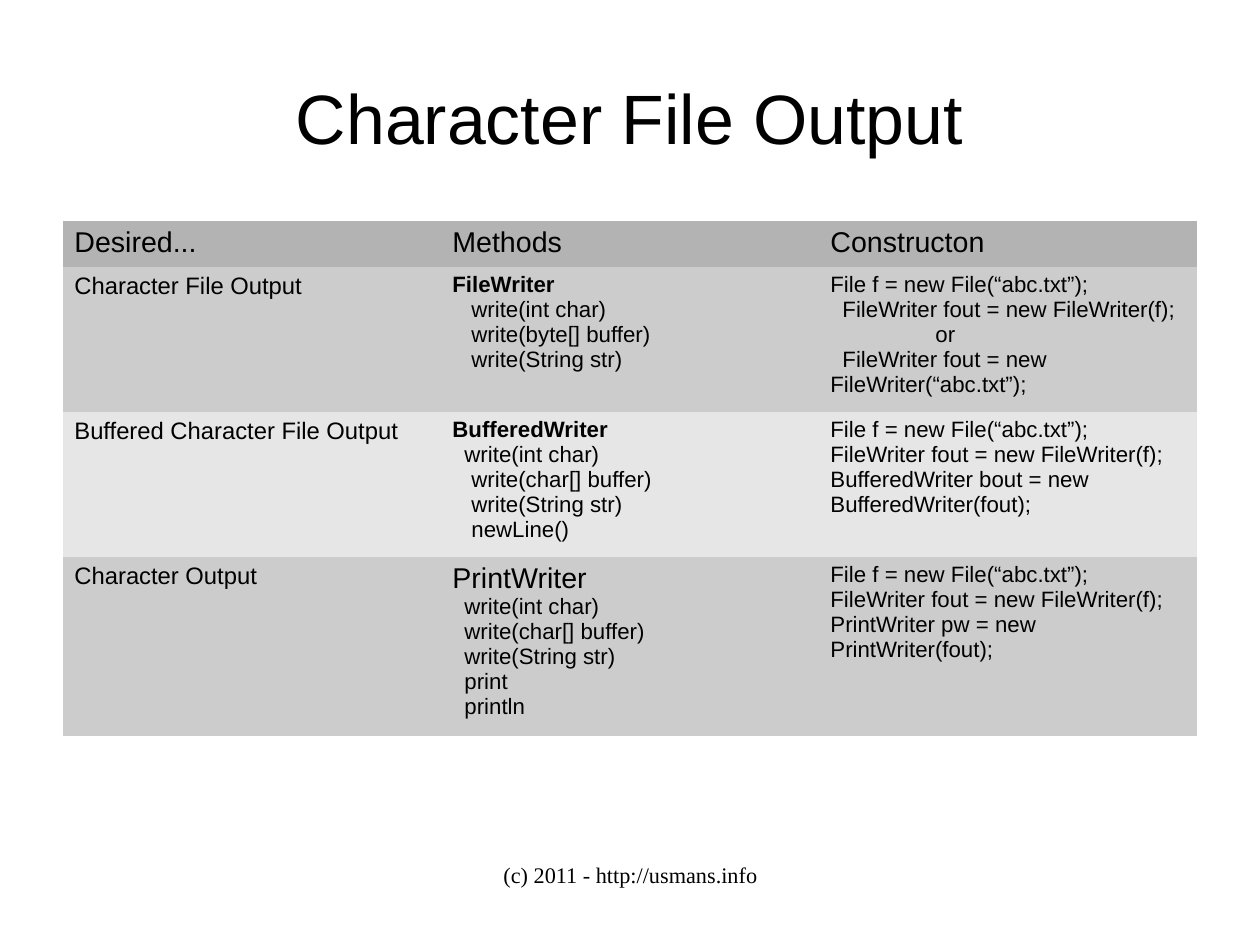
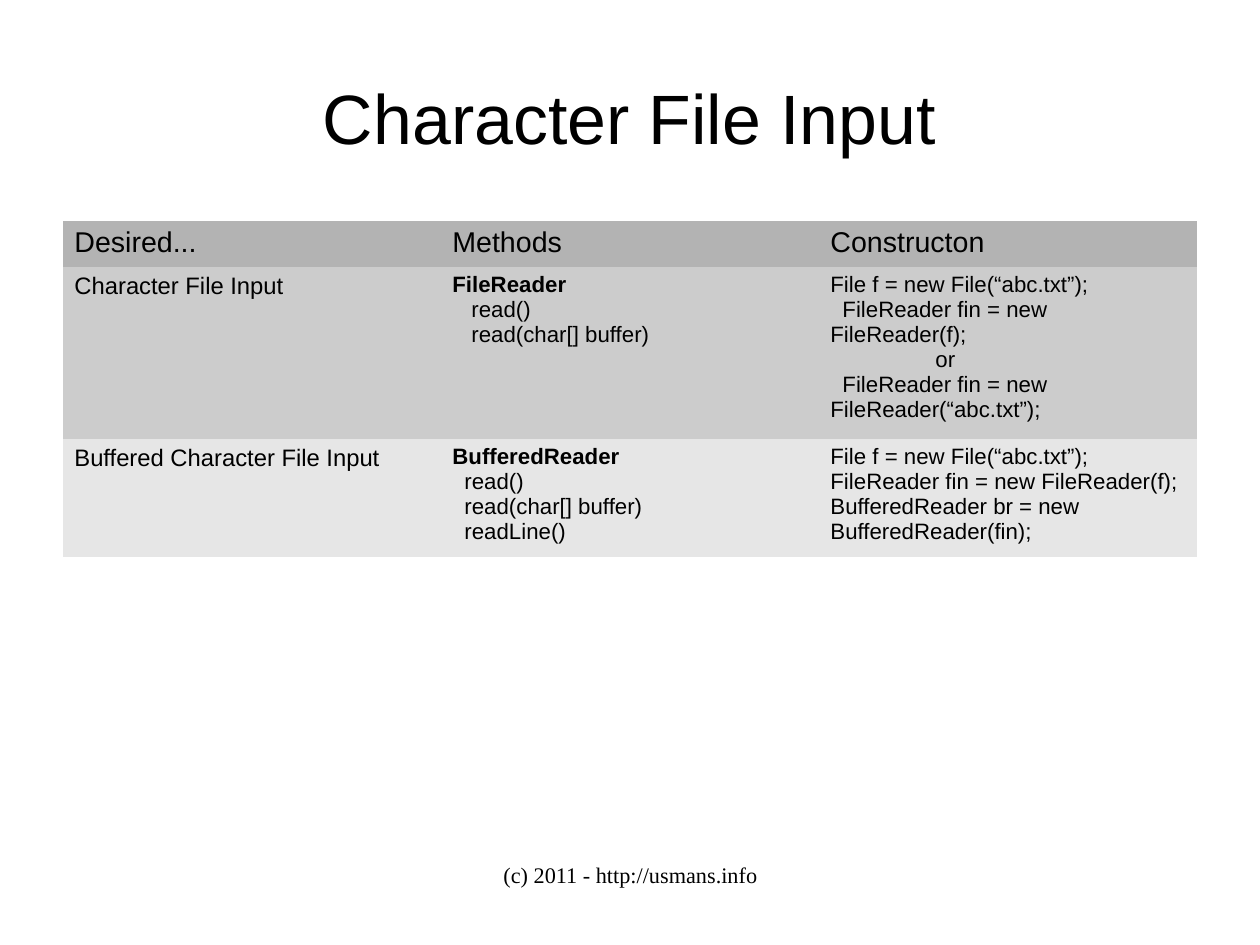
"""Build two slides with tables of the Java classes for character file output and input."""
from pptx import Presentation
from pptx.dml.color import RGBColor
from pptx.enum.text import MSO_ANCHOR, PP_ALIGN
from pptx.oxml.ns import qn
from pptx.util import Pt

PX = 8000
BLACK = "000000"
HEADER_FILL = "B3B3B3"
ROW_FILLS = ["CCCCCC", "E6E6E6"]
NO_STYLE = "{2D5ABB26-0587-4C30-8999-92F81FD0307C}"
HEADINGS = ["Desired...", "Methods", "Constructon"]
TABLE_LEFT, TABLE_TOP, COLUMN_WIDTH, HEADER_HEIGHT = 63, 221, 378, 46
STEP, DEEP, CENTRE = 12, 19, 105

FORMATS = {
    "title": {"name": "Arial", "size": Pt(44), "bold": False},
    "heading": {"name": "Arial", "size": Pt(18), "bold": False},
    "topic": {"name": "Arial", "size": Pt(15), "bold": False},
    "class": {"name": "Arial", "size": Pt(14), "bold": True},
    "code": {"name": "Arial", "size": Pt(14), "bold": False},
    "footer": {"name": "Times New Roman", "size": Pt(14), "bold": False},
}

FRAMES = {
    "title": (63, 38, 1134, 158, MSO_ANCHOR.MIDDLE),
    "footer": (431, 861, 399, 65, MSO_ANCHOR.TOP),
}
FOOTER = "(c) 2011 - http://usmans.info"

SLIDES = [
    ("Character File Output", [
        (145, "Character File Output",
         [("FileWriter", "class", 0),
          ("write(int char)", "code", DEEP),
          ("write(byte[] buffer)", "code", DEEP),
          ("write(String str)", "code", DEEP)],
         [("File f = new File(“abc.txt”);", "code", 0),
          ("FileWriter fout = new FileWriter(f);", "code", STEP),
          ("or", "code", CENTRE),
          ("FileWriter fout = new FileWriter(“abc.txt”);", "code", STEP)]),
        (145, "Buffered Character File Output",
         [("BufferedWriter", "class", 0),
          ("write(int char)", "code", STEP),
          ("write(char[] buffer)", "code", DEEP),
          ("write(String str)", "code", DEEP),
          ("newLine()", "code", DEEP)],
         [("File f = new File(“abc.txt”);", "code", 0),
          ("FileWriter fout = new FileWriter(f);", "code", 0),
          ("BufferedWriter bout = new BufferedWriter(fout);", "code", 0)]),
        (179, "Character Output",
         [("PrintWriter", "heading", 0),
          ("write(int char)", "code", STEP),
          ("write(char[] buffer)", "code", STEP),
          ("write(String str)", "code", STEP),
          ("print", "code", STEP),
          ("println", "code", STEP)],
         [("File f = new File(“abc.txt”);", "code", 0),
          ("FileWriter fout = new FileWriter(f);", "code", 0),
          ("PrintWriter pw = new PrintWriter(fout);", "code", 0)]),
    ]),
    ("Character File Input", [
        (172, "Character File Input",
         [("FileReader", "class", 0),
          ("read()", "code", DEEP),
          ("read(char[] buffer)", "code", DEEP)],
         [("File f = new File(“abc.txt”);", "code", 0),
          ("FileReader fin = new FileReader(f);", "code", STEP),
          ("or", "code", CENTRE),
          ("FileReader fin = new FileReader(“abc.txt”);", "code", STEP)]),
        (118, "Buffered Character File Input",
         [("BufferedReader", "class", 0),
          ("read()", "code", STEP),
          ("read(char[] buffer)", "code", STEP),
          ("readLine()", "code", STEP)],
         [("File f = new File(“abc.txt”);", "code", 0),
          ("FileReader fin = new FileReader(f);", "code", 0),
          ("BufferedReader br = new BufferedReader(fin);", "code", 0)]),
    ]),
]


def color(value):
    return RGBColor.from_string(value)


def write_lines(text_frame, lines, alignment=PP_ALIGN.LEFT):
    for index, (text, style, indent) in enumerate(lines):
        paragraph = text_frame.add_paragraph() if index else text_frame.paragraphs[0]
        paragraph.alignment = alignment
        if indent:
            properties = paragraph._p.get_or_add_pPr()
            properties.set("marL", "0")
            properties.set("indent", str(indent * PX))
        run = paragraph.add_run()
        run.text = text
        run.font.color.rgb = color(BLACK)
        for name, value in FORMATS[style].items():
            setattr(run.font, name, value)


presentation = Presentation()
presentation.slide_width = 1260 * PX
presentation.slide_height = 945 * PX

for title, topics in SLIDES:
    slide = presentation.slides.add_slide(presentation.slide_layouts[6])

    for style, text in [("title", title), ("footer", FOOTER)]:
        *box, anchor = FRAMES[style]
        text_frame = slide.shapes.add_textbox(*[length * PX for length in box]).text_frame
        text_frame.word_wrap = True
        text_frame.vertical_anchor = anchor
        for side in ["left", "top", "right", "bottom"]:
            setattr(text_frame, f"margin_{side}", 0)
        write_lines(text_frame, [(text, style, 0)], PP_ALIGN.CENTER)

    rows = [(HEADER_HEIGHT, HEADER_FILL, [[(heading, "heading", 0)] for heading in HEADINGS])]
    for index, (height, topic, methods, construction) in enumerate(topics):
        rows.append((height, ROW_FILLS[index % 2], [[(topic, "topic", 0)], methods, construction]))

    table = slide.shapes.add_table(
        len(rows), len(HEADINGS), TABLE_LEFT * PX, TABLE_TOP * PX,
        COLUMN_WIDTH * len(HEADINGS) * PX, sum(row[0] for row in rows) * PX).table
    table.first_row = False
    table.horz_banding = False
    table._tbl.tblPr.find(qn("a:tableStyleId")).text = NO_STYLE
    for column in table.columns:
        column.width = COLUMN_WIDTH * PX
    for row, (height, fill, contents) in zip(table.rows, rows):
        row.height = height * PX
        for cell, lines in zip(row.cells, contents):
            cell.fill.solid()
            cell.fill.fore_color.rgb = color(fill)
            write_lines(cell.text_frame, lines)

presentation.save("out.pptx")
